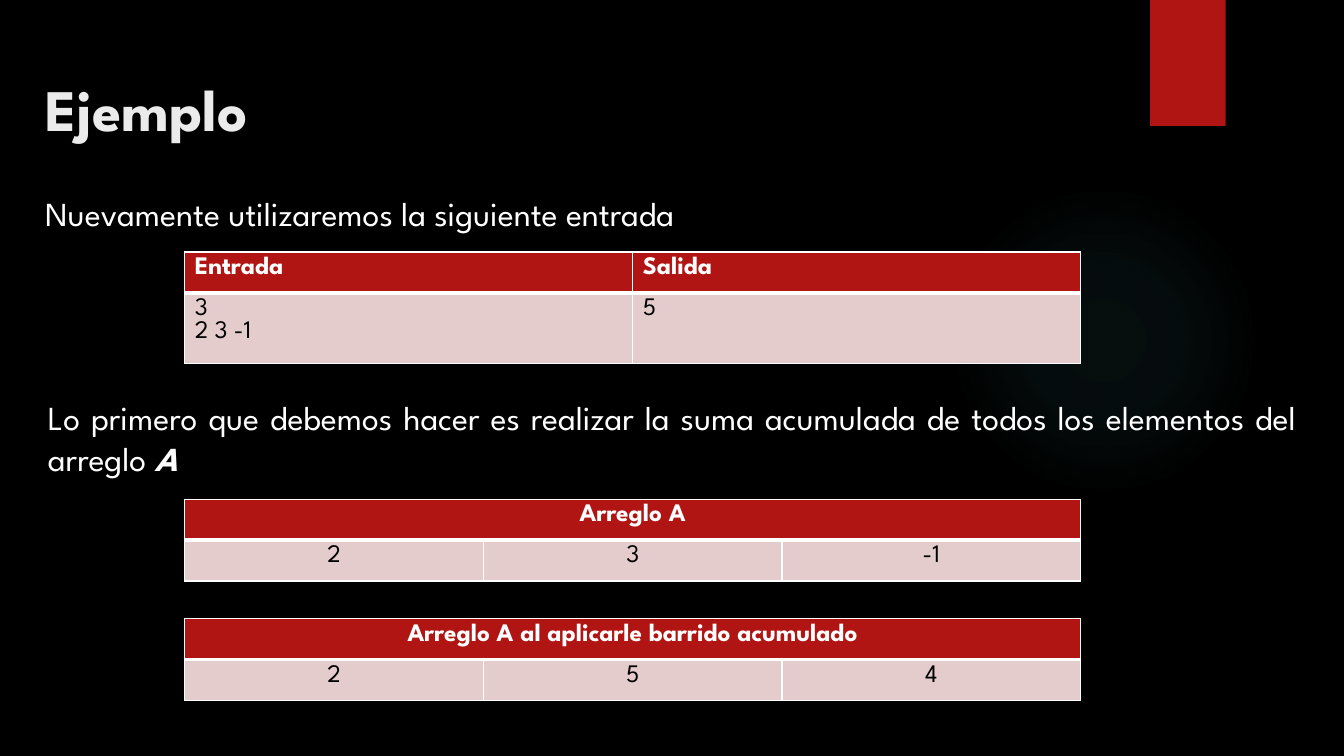
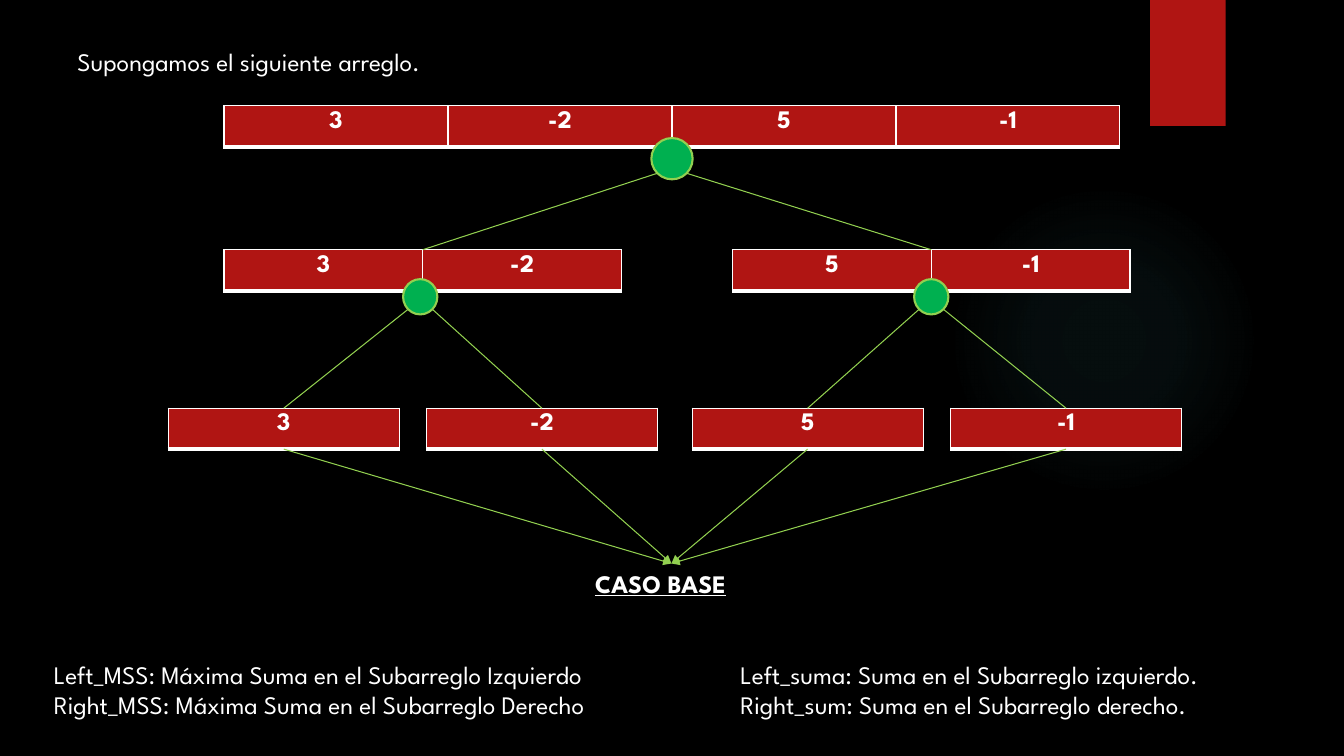
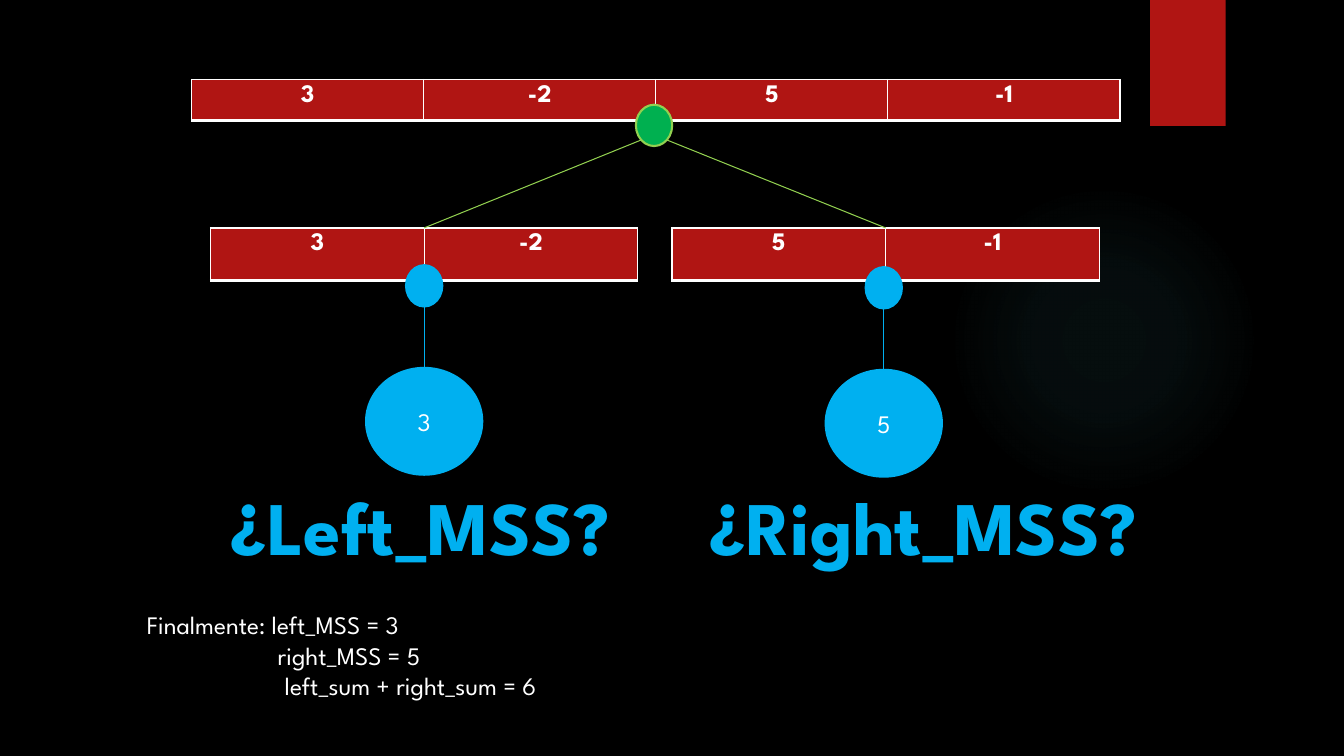
"""Builds three slides on accumulated sums and maximum subarray sums."""
from lxml.etree import SubElement
from pptx import Presentation
from pptx.dml.color import RGBColor
from pptx.enum.shapes import MSO_CONNECTOR, MSO_SHAPE
from pptx.enum.text import MSO_ANCHOR, PP_ALIGN
from pptx.oxml import parse_xml
from pptx.oxml.ns import nsdecls, qn
from pptx.util import Pt

COLORS = {
    "black": "000000", "white": "FFFFFF", "title": "EBEBEB", "red": "B01513",
    "pink": "E4CCCC", "green": "00B050", "lime": "92D050", "blue": "00B0F0",
    "glow": "50B9C1",
}
FONT = "League Spartan"
TEXT_SPACING = 1.2
CELL_SPACING = 0.92
ROW = 29.2
DIAGONAL = 0.5 ** 0.5


def rgb(name):
    return RGBColor.from_string(COLORS[name])


class Deck:
    def __init__(self):
        self.presentation = Presentation()
        self.presentation.slide_width = Pt(960)
        self.presentation.slide_height = Pt(540)
        self.slide = None

    def new_slide(self, title=None):
        layout = self.presentation.slide_layouts[5 if title else 6]
        self.slide = self.presentation.slides.add_slide(layout)
        if title:
            shape = self.slide.shapes.title
            shape.left, shape.top, shape.width, shape.height = Pt(25.2), Pt(48.2), Pt(741), Pt(65.5)
            self.fill_frame(shape.text_frame, [title], size=42, color="title", bold=True)

    def decorate_master(self):
        master = self.presentation.slide_master
        master.background.fill.solid()
        master.background.fill.fore_color.rgb = rgb("black")
        glow = self.shape(MSO_SHAPE.OVAL, 677.5, 131.8, 221.8, 221.8)
        stops = "".join(
            f'<a:gs pos="{position}000"><a:srgbClr val="{COLORS["glow"]}">'
            f'<a:alpha val="{alpha}000"/></a:srgbClr></a:gs>'
            for position, alpha in ((0, 7), (36, 6), (69, 0)))
        gradient = parse_xml(
            f'<a:gradFill {nsdecls("a")}><a:gsLst>{stops}</a:gsLst><a:path path="circle">'
            '<a:fillToRect l="50000" t="50000" r="50000" b="50000"/></a:path></a:gradFill>')
        properties = glow.element.spPr
        properties.replace(properties.find(qn("a:noFill")), gradient)
        bookmark = self.shape(MSO_SHAPE.RECTANGLE, 821.5, 0, 54, 90, "red")
        for index, shape in enumerate((glow, bookmark)):
            shape.element.nvSpPr.cNvPr.set("id", str(101 + index))
            master.shapes.element.insert(2 + index, shape.element)

    def format(self, paragraph, size=18, color="white", bold=False, underline=False,
               align=PP_ALIGN.LEFT, spacing=TEXT_SPACING):
        paragraph.alignment = align
        paragraph.line_spacing = Pt(round(size * spacing, 2))
        for run in paragraph.runs:
            run.font.name = FONT
            run.font.size = Pt(size)
            run.font.bold = bold
            run.font.underline = underline
            run.font.color.rgb = rgb(color)

    def fill_frame(self, frame, lines, anchor=MSO_ANCHOR.TOP, **style):
        frame.text = "\n".join(lines)
        frame.word_wrap = True
        frame.vertical_anchor = anchor
        for paragraph in frame.paragraphs:
            self.format(paragraph, **style)

    def text(self, left, top, width, height, *lines, **style):
        box = self.slide.shapes.add_textbox(Pt(left), Pt(top), Pt(width), Pt(height))
        self.fill_frame(box.text_frame, lines, **style)
        return box.text_frame

    def shape(self, kind, left, top, width, height, fill=None, line=None):
        shape = self.slide.shapes.add_shape(kind, Pt(left), Pt(top), Pt(width), Pt(height))
        shape.shadow.inherit = False
        if fill:
            shape.fill.solid()
            shape.fill.fore_color.rgb = rgb(fill)
        else:
            shape.fill.background()
        if line:
            shape.line.color.rgb = rgb(line)
            shape.line.width = Pt(1.5)
        else:
            shape.line.fill.background()
        return shape

    def circle(self, center, top, width, height, fill, line, label=None):
        shape = self.shape(MSO_SHAPE.OVAL, center - width / 2, top, width, height, fill, line)
        if label:
            self.fill_frame(shape.text_frame, [label], MSO_ANCHOR.MIDDLE, align=PP_ALIGN.CENTER)

    def line(self, start, end, color="lime", arrow=False):
        points = [Pt(value) for value in (*start, *end)]
        connector = self.slide.shapes.add_connector(MSO_CONNECTOR.STRAIGHT, *points)
        connector.line.color.rgb = rgb(color)
        connector.line.width = Pt(0.75)
        properties = connector.element.spPr
        if arrow:
            SubElement(properties.find(qn("a:ln")), qn("a:tailEnd"), type="triangle")
        SubElement(properties, qn("a:effectLst"))

    def split(self, center, top, width, height, targets, target_top):
        self.circle(center, top, width, height, "green", "lime")
        bottom = top + height / 2 * (1 + DIAGONAL)
        for side, target in zip((-1, 1), targets):
            self.line((center + side * width / 2 * DIAGONAL, bottom), (target, target_top))

    def border(self, cell, edge, width):
        line = parse_xml(
            f'<a:{edge} {nsdecls("a")} w="{Pt(width)}"><a:solidFill>'
            f'<a:srgbClr val="{COLORS["white"]}"/></a:solidFill></a:{edge}>')
        cell._tc.get_or_add_tcPr().append(line)

    def table(self, left, top, width, rows, heights=(ROW, ROW), align=PP_ALIGN.CENTER):
        """Draws a table with a red first row and returns its horizontal centre."""
        count = len(rows[-1])
        heights = heights[:len(rows)]
        table = self.slide.shapes.add_table(
            len(rows), count, Pt(left), Pt(top), Pt(width), Pt(sum(heights))).table
        for column in table.columns:
            column.width = Pt(width / count)
        for index, (values, height) in enumerate(zip(rows, heights)):
            header = index == 0
            table.rows[index].height = Pt(height)
            if len(values) < count:
                table.cell(index, 0).merge(table.cell(index, count - 1))
            for position, cell in enumerate(table.rows[index].cells):
                for edge, weight in (("lnL", 1), ("lnR", 1), ("lnT", 1 if header else 3),
                                     ("lnB", 3 if header else 1)):
                    self.border(cell, edge, weight)
                cell.fill.solid()
                cell.fill.fore_color.rgb = rgb("red" if header else "pink")
                if position < len(values):
                    cell.text_frame.text = values[position]
                for paragraph in cell.text_frame.paragraphs:
                    self.format(paragraph, color="white" if header else "black", bold=header,
                                align=align, spacing=CELL_SPACING)
        return left + width / 2


def build_example(deck):
    deck.new_slide("Ejemplo")
    deck.decorate_master()
    deck.text(25.2, 134, 906, 36, "Nuevamente utilizaremos la siguiente entrada",
              size=24, align=PP_ALIGN.JUSTIFY)
    deck.table(132, 180, 640, [["Entrada", "Salida"], ["3\n2 3 -1", "5"]],
               (ROW, 50.4), PP_ALIGN.LEFT)
    frame = deck.text(
        27.2, 280.2, 906, 65.4,
        "Lo primero que debemos hacer es realizar la suma acumulada de todos los elementos "
        "del arreglo ", size=24, align=PP_ALIGN.JUSTIFY)
    run = frame.paragraphs[0].add_run()
    run.text = "A"
    run.font.name, run.font.size = FONT, Pt(24)
    run.font.bold = run.font.italic = True
    run.font.color.rgb = rgb("white")
    deck.table(132, 356.6, 640, [["Arreglo A"], ["2", "3", "-1"]])
    deck.table(132, 441.8, 640, [["Arreglo A al aplicarle barrido acumulado"], ["2", "5", "4"]])


def build_recursion(deck):
    deck.new_slide()
    deck.text(48.2, 29.3, 308, 29, "Supongamos el siguiente arreglo.")
    root = deck.table(160, 75.6, 640, [["3", "-2", "5", "-1"]])
    halves = [deck.table(left, 178.4, 284, [values])
              for left, values in ((160, ["3", "-2"]), (523.2, ["5", "-1"]))]
    leaf_top = 291.6
    leaves = [deck.table(left, leaf_top, 165, [[value]])
              for left, value in ((120.2, "3"), (304.6, "-2"), (494.4, "5"), (679, "-1"))]
    deck.split(root, 98.6, 29.5, 29.5, halves, 178.4)
    deck.split(300.2, 199.4, 24.5, 25.2, leaves[:2], leaf_top)
    deck.split(halves[1], 199.4, 24.5, 25.2, leaves[2:], leaf_top)
    for leaf in leaves:
        deck.line((leaf, leaf_top + ROW), (479.6, 402.5), arrow=True)
    deck.text(418, 402.5, 124, 29, "CASO BASE", bold=True, underline=True)
    deck.text(31.4, 467.4, 467, 51, "Left_MSS: Máxima Suma en el Subarreglo Izquierdo",
              "Right_MSS: Máxima Suma en el Subarreglo Derecho")
    deck.text(521.8, 467.4, 420, 51, "Left_suma: Suma en el Subarreglo izquierdo.",
              "Right_sum: Suma en el Subarreglo derecho.")


def build_result(deck):
    deck.new_slide()
    deck.table(136.8, 56.8, 663.2, [["3", "-2", "5", "-1"]])
    halves = [deck.table(left, 162.8, 305.2, [values], (37.6,))
              for left, values in ((150.4, ["3", "-2"]), (480, ["5", "-1"]))]
    deck.split(467.2, 74.8, 25.9, 29.5, halves, 162.8)
    for center, top, value, label, left, width in (
            (303, 189.4, "3", "¿Left_MSS?", 150.4, 299.6),
            (631.3, 190.8, "5", "¿Right_MSS?", 490.4, 338.4)):
        deck.circle(center, top, 25.9, 29.5, "blue", "blue")
        deck.line((center, top + 29.5), (center, top + 73.4), "blue")
        deck.circle(center, top + 73.4, 83, 76.3, "blue", "blue", value)
        deck.text(left, 339.2, width, 72.7, label, size=54, color="blue", bold=True,
                  align=PP_ALIGN.CENTER)
    frame = deck.text(97.8, 432, 333, 72.7, "Finalmente: left_MSS = 3", "right_MSS = 5",
                      "left_sum + right_sum = 6")
    for paragraph, indent in zip(frame.paragraphs[1:], (93.5, 98.5)):
        paragraph._p.get_or_add_pPr().set("marL", str(Pt(indent)))


def main():
    deck = Deck()
    build_example(deck)
    build_recursion(deck)
    build_result(deck)
    deck.presentation.save("out.pptx")


if __name__ == "__main__":
    main()
